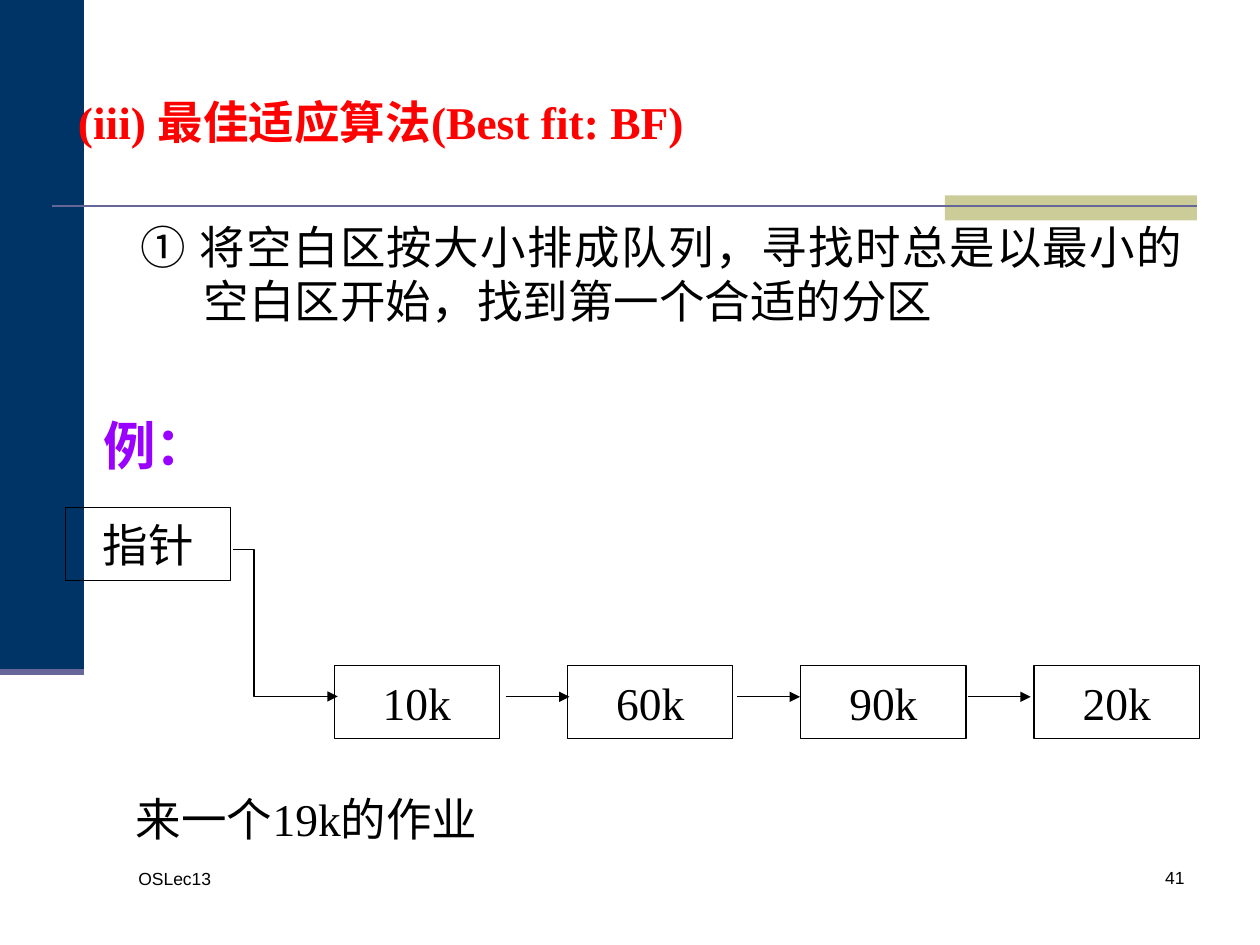
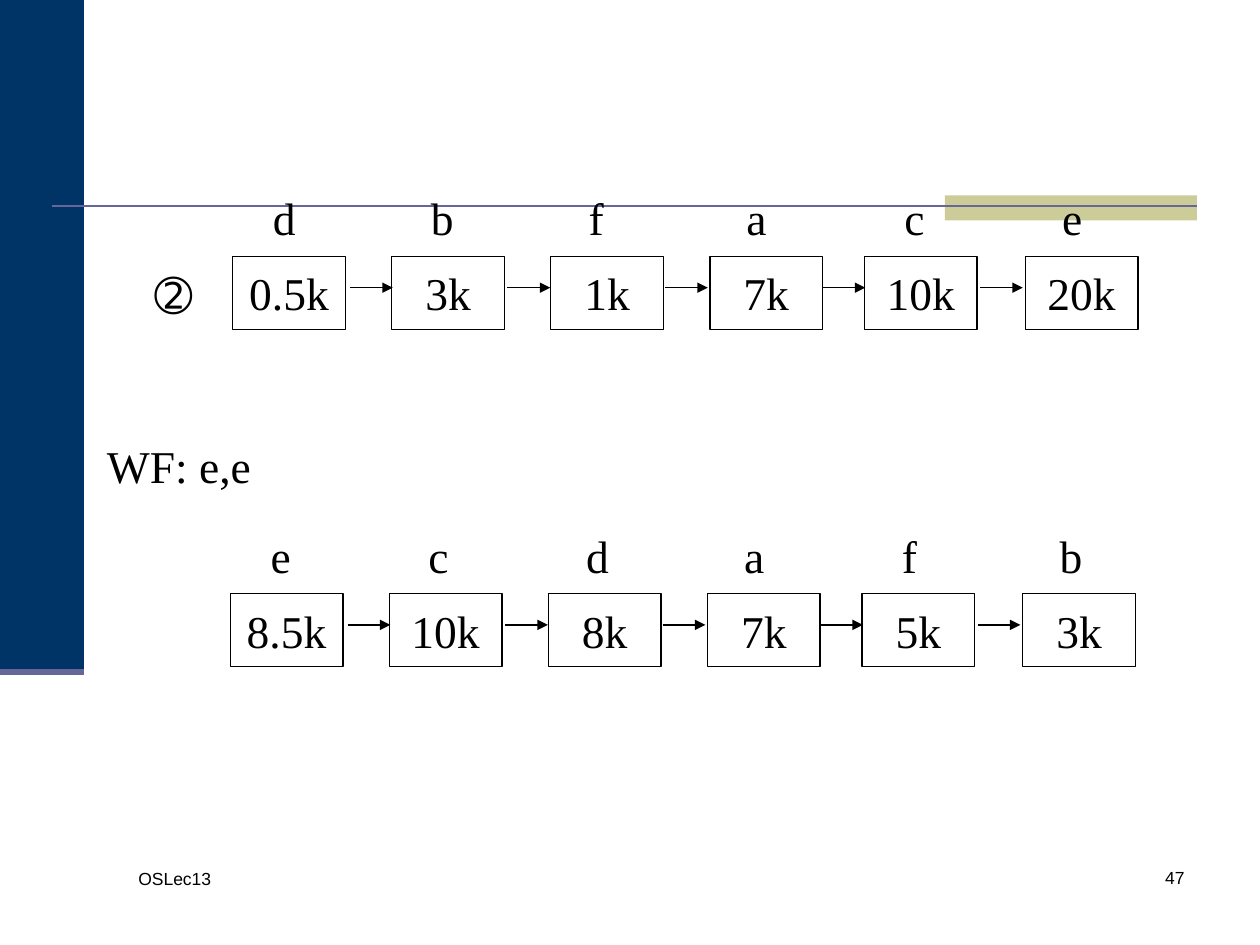
"""Build two slides on best-fit and worst-fit memory allocation."""
from dataclasses import dataclass

from lxml import etree
from pptx import Presentation
from pptx.dml.color import RGBColor
from pptx.enum import shapes, text
from pptx.oxml import ns
from pptx.util import Pt

BLACK, RED, PURPLE = "000000", "FF0000", "9900FF"
NAVY, SAND, VIOLET = "003366", "CCCC99", "666699"
SERIF, SANS = "Times New Roman", "Arial"
LEFT, RIGHT = text.PP_ALIGN.LEFT, text.PP_ALIGN.RIGHT
CENTER, JUSTIFY = text.PP_ALIGN.CENTER, text.PP_ALIGN.JUSTIFY
BOX_HEIGHT = 41.76
LABEL_RISE = 42.48
ARROW_DROP = 18


@dataclass
class Label:
    text: str
    left: float
    top: float
    width: float
    height: float
    size: float = 26
    font: str = SERIF
    color: str = BLACK
    bold: bool = False
    align: text.PP_ALIGN = LEFT
    compact: bool = False


@dataclass
class Chain:
    left: float
    top: float
    box_width: float
    offsets: tuple[float, ...]
    sizes: tuple[str, ...]
    arrow_start: float
    arrow_step: float
    arrow_length: float
    names: str = ""


def rgb(value: str) -> RGBColor:
    return RGBColor.from_string(value)


def style_run(r, size: float, font: str, color: str, bold: bool = False) -> None:
    r.font.size, r.font.name, r.font.bold = Pt(size), font, bold
    r.font.color.rgb = rgb(color)


def write(sp, label: Label):
    tf = sp.text_frame
    tf.word_wrap = not label.compact
    tf.auto_size = text.MSO_AUTO_SIZE.NONE
    tf.vertical_anchor = (text.MSO_ANCHOR.MIDDLE if label.compact
                          else text.MSO_ANCHOR.TOP)
    inset_x, inset_y = (4, 2) if label.compact else (7.2, 3.6)
    tf.margin_left = tf.margin_right = Pt(inset_x)
    tf.margin_top = tf.margin_bottom = Pt(inset_y)
    p = tf.paragraphs[0]
    p.text = label.text
    p.alignment = label.align
    style_run(p.runs[0], label.size, label.font, label.color, label.bold)
    return p


def add_label(s, label: Label):
    frame = map(Pt, (label.left, label.top, label.width, label.height))
    return write(s.shapes.add_textbox(*frame), label)


def add_small_label(s, content: str, left: float, top: float, width: float,
                    font: str = SERIF) -> None:
    add_label(s, Label(content, left, top, width, 41.04, font=font, compact=True))


def add_rect(s, left: float, top: float, width: float, height: float):
    sp = s.shapes.add_shape(shapes.MSO_SHAPE.RECTANGLE,
                            *map(Pt, (left, top, width, height)))
    sp.shadow.inherit = False
    return sp


def add_band(s, left: float, top: float, width: float, height: float,
             color: str) -> None:
    sp = add_rect(s, left, top, width, height)
    sp.fill.solid()
    sp.fill.fore_color.rgb = rgb(color)
    sp.line.fill.background()


def add_box(s, content: str, left: float, top: float, width: float) -> None:
    sp = add_rect(s, left, top, width, BOX_HEIGHT)
    sp.fill.background()
    style_line(sp, BLACK, 0.75)
    write(sp, Label(content, left, top, width, BOX_HEIGHT, align=CENTER,
                    compact=True))


def style_line(sp, color: str, width: float, arrow: bool = False) -> None:
    sp.line.color.rgb = rgb(color)
    sp.line.width = Pt(width)
    if arrow:
        ln = sp.line._get_or_add_ln()
        etree.SubElement(ln, ns.qn("a:tailEnd"), type="triangle")


def add_line(s, x1: float, y1: float, x2: float, y2: float, color: str = BLACK,
             width: float = 0.75, arrow: bool = False) -> None:
    sp = s.shapes.add_connector(shapes.MSO_CONNECTOR.STRAIGHT,
                                *map(Pt, (x1, y1, x2, y2)))
    style_line(sp, color, width, arrow)
    etree.SubElement(sp._element.spPr, ns.qn("a:effectLst"))


def add_elbow_arrow(s, points: list[tuple[float, float]]) -> None:
    start, *rest = [(Pt(x), Pt(y)) for x, y in points]
    builder = s.shapes.build_freeform(*start)
    builder.add_line_segments(rest, close=False)
    sp = builder.convert_to_shape()
    sp.fill.background()
    style_line(sp, BLACK, 0.75, arrow=True)
    sp.shadow.inherit = False


def add_chain(s, chain: Chain) -> None:
    for offset, size in zip(chain.offsets, chain.sizes):
        add_box(s, size, chain.left + offset, chain.top, chain.box_width)
    y = chain.top + ARROW_DROP
    for i in range(len(chain.sizes) - 1):
        x = chain.left + chain.arrow_start + i * chain.arrow_step
        add_line(s, x, y, x + chain.arrow_length, y, arrow=True)
    for i, name in enumerate(chain.names):
        add_small_label(s, name, chain.left + 19 + i * 90.2,
                        chain.top - LABEL_RISE, 25)


def add_base_slide(prs, number: int):
    s = prs.slides.add_slide(prs.slide_layouts[6])
    add_band(s, 0, 0, 48, 384, NAVY)
    add_band(s, 540, 111.6, 144, 14.4, SAND)
    add_line(s, 30, 117.7, 684, 117.7, VIOLET, 1.5)
    add_line(s, 0, 384, 48, 384, VIOLET, 3.5)
    add_label(s, Label("OSLec13", 72, 492.5, 156, 36, 10, SANS))
    add_label(s, Label(str(number), 534, 492, 150, 36, 10, SANS, align=RIGHT))
    return s


def build_best_fit(prs) -> None:
    s = add_base_slide(prs, 41)
    add_label(s, Label("(iii) 最佳适应算法(Best fit: BF)", 37.44, 50.4, 385, 38.2,
                       color=RED, bold=True))
    p = add_label(s, Label("① ", 73.44, 121.5, 610, 69, font=SANS, align=JUSTIFY))
    r = p.add_run()
    r.text = "将空白区按大小排成队列，寻找时总是以最小的空白区开始，找到第一个合适的分区"
    style_run(r, 26, SERIF, BLACK)
    p.space_before = Pt(16.2)
    pPr = p._p.get_or_add_pPr()
    pPr.set("marL", str(Pt(36)))
    pPr.set("indent", str(Pt(-36)))

    add_box(s, "指针", 37.44, 290, 94.5)
    add_chain(s, Chain(191, 380.2, 94.5, tuple(133.3 * i for i in range(4)),
                       ("10k", "60k", "90k", "20k"), 98.4, 131.8, 36))
    add_elbow_arrow(s, [(133.2, 314), (145.2, 314), (145.2, 398), (193, 398)])
    add_label(s, Label("例：", 51.84, 232.6, 85, 43.2, size=30,
                       color=PURPLE, bold=True))
    add_label(s, Label("来一个19k的作业", 70.56, 448.6, 235, 38.2))


def build_worst_fit(prs) -> None:
    s = add_base_slide(prs, 47)
    offsets = (0, 90.9, 181.8, 272.7, 361, 452.9)
    rows = [
        (133, 146.4, ("0.5k", "3k", "1k", "7k", "10k", "20k"), "dbface"),
        (131.6, 339.1, ("8.5k", "10k", "8k", "7k", "5k", "3k"), "ecdafb"),
    ]
    for left, top, sizes, names in rows:
        add_chain(s, Chain(left, top, 64.4, offsets, sizes, 67, 90, 24.5, names))
    add_small_label(s, "➁", 84.24, 147.6, 36.7, SANS)
    add_label(s, Label("WF: e,e", 54, 247, 110, 38.2))


def main() -> None:
    prs = Presentation()
    prs.slide_width, prs.slide_height = Pt(720), Pt(540)
    build_best_fit(prs)
    build_worst_fit(prs)
    prs.save("out.pptx")


if __name__ == "__main__":
    main()
